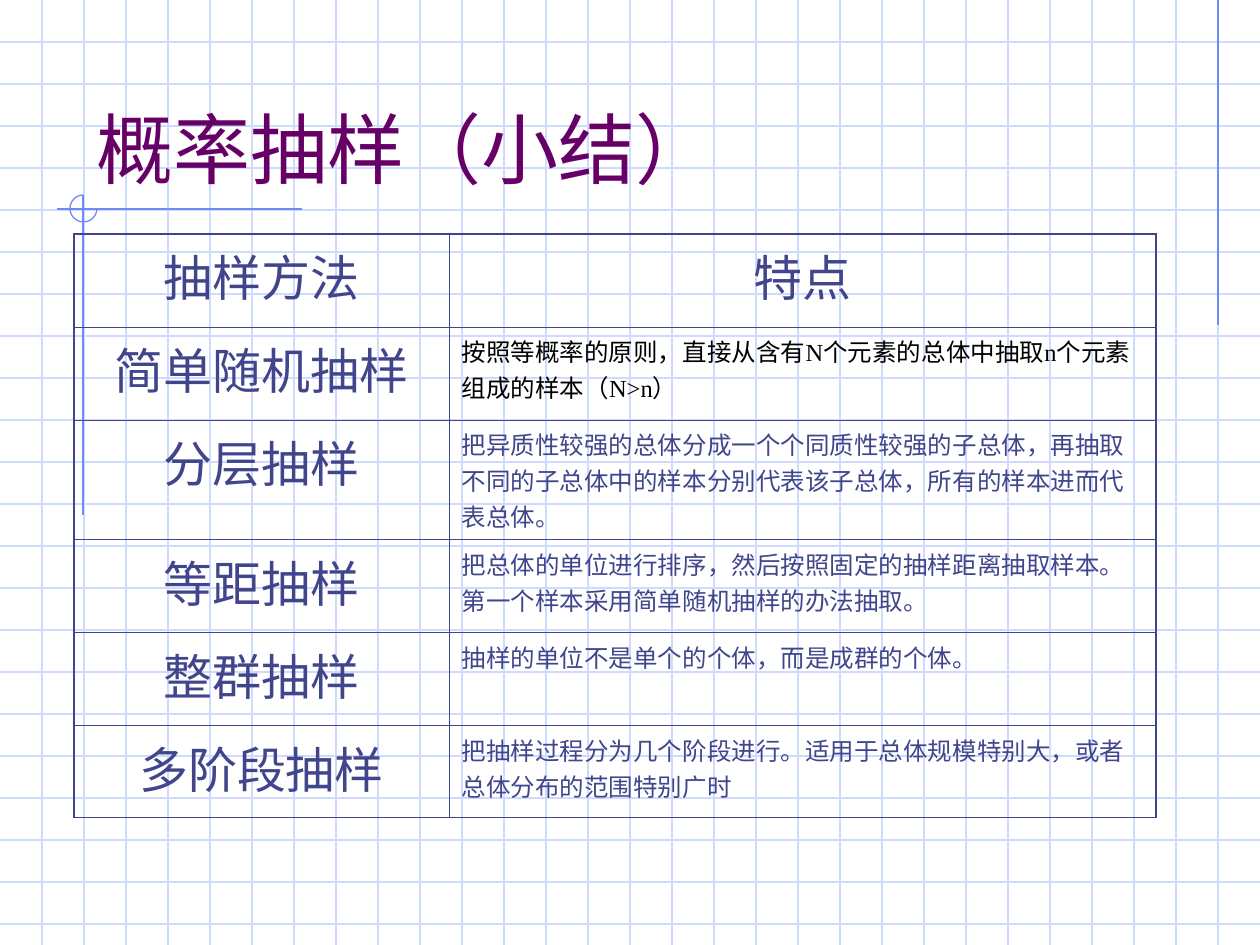
from lxml import etree
from pptx import Presentation
from pptx.dml.color import RGBColor
from pptx.enum.shapes import MSO_CONNECTOR, MSO_SHAPE
from pptx.enum.text import MSO_ANCHOR, PP_ALIGN
from pptx.oxml.ns import qn
from pptx.util import Emu, Pt

STRAIGHT = MSO_CONNECTOR.STRAIGHT
ARC = MSO_SHAPE.ARC
BOTTOM = MSO_ANCHOR.BOTTOM
LEFT, CENTER = PP_ALIGN.LEFT, PP_ALIGN.CENTER

WIDTH, HEIGHT, GRID = 1260, 945, 42
PALE, BLUE, INDIGO, PURPLE, BLACK = "CFDBFD", "6F89F7", "40458C", "660066", "000000"
THIN, THICK = 0.45, 1.08

HEADER = ("抽样方法", "特点")
METHODS = [
    ("简单随机抽样", "按照等概率的原则，直接从含有N个元素的总体中抽取n个元素组成的样本（N>n）"),
    ("分层抽样", "把异质性较强的总体分成一个个同质性较强的子总体，再抽取不同的子总体中的样本分别代表该子总体，所有的样本进而代表总体。"),
    ("等距抽样", "把总体的单位进行排序，然后按照固定的抽样距离抽取样本。第一个样本采用简单随机抽样的办法抽取。"),
    ("整群抽样", "抽样的单位不是单个的个体，而是成群的个体。"),
    ("多阶段抽样", "把抽样过程分为几个阶段进行。适用于总体规模特别大，或者总体分布的范围特别广时"),
]
COLUMN_WIDTHS = [375, 707]
ROW_HEIGHTS = [93, 93, 101, 93, 93, 92]


def px(length):
    return Emu(round(length * 914400 / 126))


def rgb(color):
    return RGBColor.from_string(color)


class SlideBuilder:
    def __init__(self, page):
        self.page = page

    def set_text(self, frame, text, size, font, color, align=LEFT, before=0):
        frame.text = text
        para = frame.paragraphs[0]
        para.alignment = align
        para.space_before = Pt(before)
        span = para.runs[0]
        span.font.size = Pt(size)
        span.font.name = font
        span.font.color.rgb = rgb(color)

    def line(self, x1, y1, x2, y2, color):
        line = self.page.shapes.add_connector(STRAIGHT, px(x1), px(y1), px(x2), px(y2))
        line.line.color.rgb = rgb(color)
        line.line.width = Pt(0.75)
        properties = line._element.find(qn("p:spPr"))
        etree.SubElement(properties, qn("a:effectLst"))

    def open_circle(self, x, y, size, color):
        arc = self.page.shapes.add_shape(ARC, px(x), px(y), px(size), px(size))
        arc.adjustments[0] = 0
        arc.adjustments[1] = 162
        arc.shadow.inherit = False
        arc.fill.background()
        arc.line.color.rgb = rgb(color)
        arc.line.width = Pt(0.75)

    def title(self, x, y, width, height, text):
        box = self.page.shapes.title
        box.left, box.top, box.width, box.height = map(px, (x, y, width, height))
        box.text_frame.vertical_anchor = BOTTOM
        self.set_text(box.text_frame, text, 44, "Roboto", PURPLE)
        self.page.shapes._spTree.append(box._element)

    def borders(self, cell, widths):
        properties = cell._tc.get_or_add_tcPr()
        for side, width in zip("LRTB", widths):
            border = etree.SubElement(properties, qn(f"a:ln{side}"), w=str(int(Pt(width))))
            fill = etree.SubElement(border, qn("a:solidFill"))
            etree.SubElement(fill, qn("a:srgbClr"), val=INDIGO)

    def table(self, x, y, rows):
        last_row, last_column = len(ROW_HEIGHTS) - 1, len(COLUMN_WIDTHS) - 1
        table = self.page.shapes.add_table(
            len(ROW_HEIGHTS), len(COLUMN_WIDTHS), px(x), px(y),
            px(sum(COLUMN_WIDTHS)), px(sum(ROW_HEIGHTS))).table
        table.first_row = table.horz_banding = False
        for column, width in zip(table.columns, COLUMN_WIDTHS):
            column.width = px(width)
        for r, (texts, height) in enumerate(zip(rows, ROW_HEIGHTS)):
            table.rows[r].height = px(height)
            for c, text in enumerate(texts):
                cell = table.cell(r, c)
                edges = (c == 0, c == last_column, r == 0, r == last_row)
                self.borders(cell, [THICK if edge else THIN for edge in edges])
                cell.fill.background()
                if r == 0 or c == 0:
                    self.set_text(cell.text_frame, text, 28, "Arial", INDIGO, CENTER, 7)
                elif r == 1:
                    self.set_text(cell.text_frame, text, 14, "Times New Roman", BLACK, LEFT, 3.5)
                else:
                    before = 0 if r == 4 else 3.5
                    self.set_text(cell.text_frame, text, 14, "Arial", INDIGO, LEFT, before)


def main():
    deck = Presentation()
    deck.slide_width, deck.slide_height = px(WIDTH), px(HEIGHT)
    builder = SlideBuilder(deck.slides.add_slide(deck.slide_layouts[5]))

    for y in range(GRID, HEIGHT, GRID):
        builder.line(0, y, WIDTH, y, PALE)
    for x in range(GRID, WIDTH, GRID):
        builder.line(x, 0, x, HEIGHT, PALE)

    builder.line(1218, 0, 1218, 325, BLUE)
    builder.line(302, 209, 57, 209, BLUE)
    builder.line(83, 195, 83, 515, BLUE)
    builder.open_circle(70, 195, 27, BLUE)

    builder.title(84, 42, 1071, 158, "概率抽样（小结）")
    builder.table(74, 234, [HEADER, *METHODS])
    deck.save("out.pptx")


if __name__ == "__main__":
    main()
